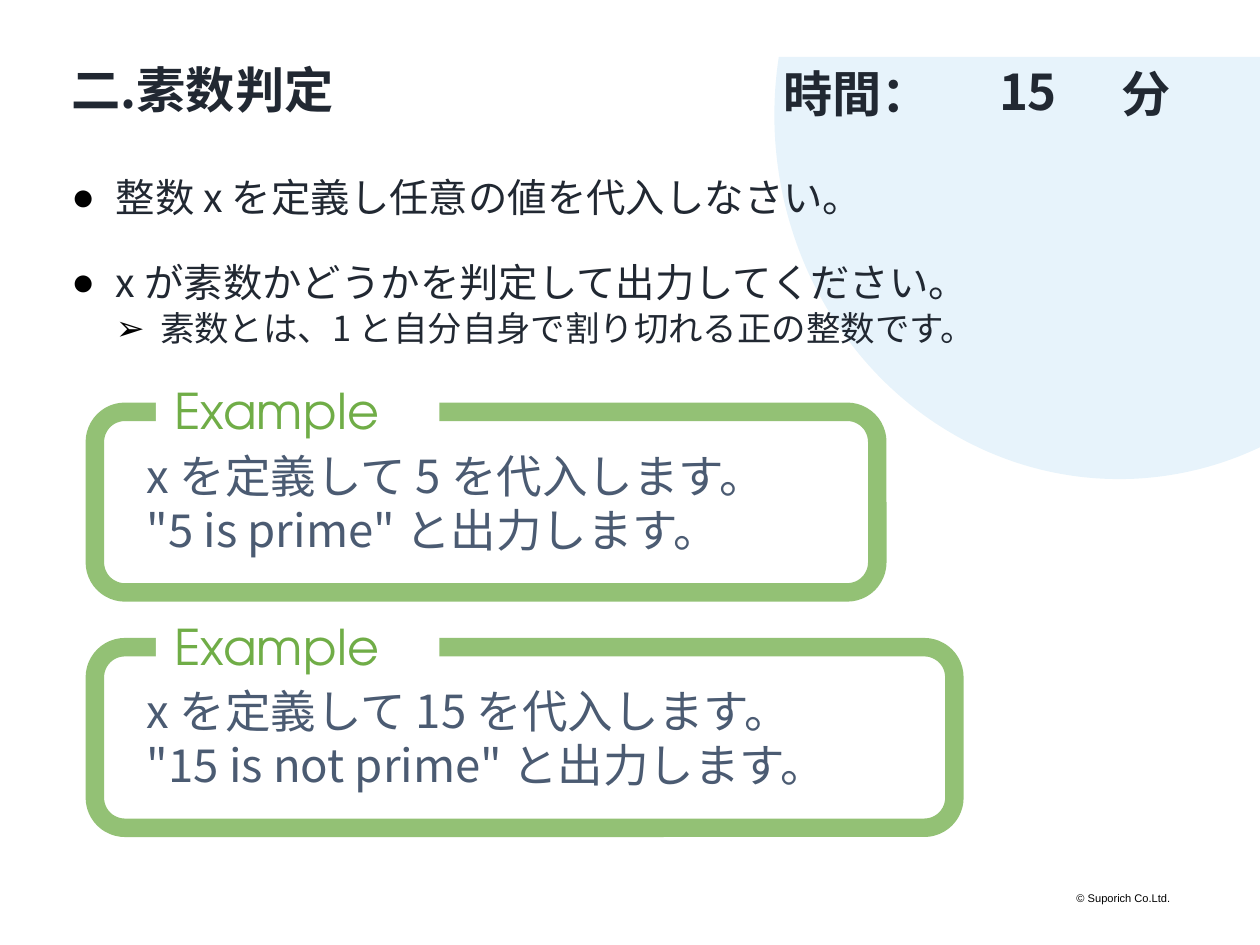
import math

from lxml import etree
from pptx import Presentation
from pptx import util as u
from pptx.dml.color import RGBColor
from pptx.enum import shapes, text
from pptx.oxml import ns

COLORS = {
    "ink": "212832",
    "black": "000000",
    "white": "FFFFFF",
    "sky": "1892DD",
    "green": "70AD47",
    "slate": "4B5B72",
}
JAPANESE = "Noto Sans CJK JP"
LATIN = "TeX Gyre Adventor"
SINGLE = 1.2
TIGHT = 1.08


def rgb(name):
    return RGBColor.from_string(COLORS[name])


def child(parent, tag, **attributes):
    return etree.SubElement(parent, ns.qn(tag), attributes)


def fade(color_owner, percent):
    color = next(color_owner.iter(ns.qn("a:srgbClr")))
    child(color, "a:alpha", val=str(percent * 1000))


def write(paragraph, words, size, color="ink", bold=False, face=JAPANESE, pitch=SINGLE):
    if face == JAPANESE:
        paragraph.line_spacing = u.Pt(round(size * pitch, 1))
    run = paragraph.add_run()
    run.text = words
    run.font.size = u.Pt(size)
    run.font.bold = bold
    run.font.color.rgb = rgb(color)
    run.font.name = face
    child(run.font._element, "a:ea", typeface=face)


def add_bullet(paragraph, mark, left):
    properties = paragraph._p.get_or_add_pPr()
    properties.set("marL", str(u.Cm(left)))
    properties.set("indent", str(u.Cm(-1.27)))
    child(child(properties, "a:buClr"), "a:srgbClr", val=COLORS["black"])
    child(properties, "a:buFont", typeface="Arial")
    child(properties, "a:buChar", char=mark)


def add_frame(slide, left, top, width, height):
    box = slide.shapes.add_textbox(u.Cm(left), u.Cm(top), u.Cm(width), u.Cm(height))
    box.text_frame.word_wrap = True
    return box.text_frame


def add_circle(slide, left, top, right, bottom):
    radius_x, radius_y = 9.88, 10.44
    center_x, center_y = left + radius_x, bottom - radius_y
    start = math.pi + math.asin((center_y - top) / radius_y)
    end = math.acos((right - center_x) / radius_x)
    steps = 120
    angles = [start + (end - start) * step / steps for step in range(steps + 1)]
    arc = [
        (u.Cm(center_x + radius_x * math.cos(angle)), u.Cm(center_y + radius_y * math.sin(angle)))
        for angle in angles
    ]
    outline = slide.shapes.build_freeform(u.Cm(right), u.Cm(top))
    outline.add_line_segments(arc, close=True)
    circle = outline.convert_to_shape()
    circle.shadow.inherit = False
    circle.fill.solid()
    circle.fill.fore_color.rgb = rgb("sky")
    fade(circle._element.spPr, 10)
    circle.line.fill.background()


def add_title(slide, left, top, width, height):
    title = slide.shapes.title
    title.left, title.top, title.width, title.height = map(u.Cm, (left, top, width, height))
    title.text_frame.vertical_anchor = text.MSO_ANCHOR.TOP
    paragraph = title.text_frame.paragraphs[0]
    paragraph.alignment = text.PP_ALIGN.LEFT
    write(paragraph, "二.素数判定", 40, bold=True, pitch=TIGHT)


def add_time(slide, left, top, height):
    label = add_frame(slide, left, top, 6.32, height)
    write(label.paragraphs[0], "時間：", 40, bold=True)
    minutes = add_frame(slide, left + 4.83, top, 4.88, height)
    minutes.vertical_anchor = text.MSO_ANCHOR.MIDDLE
    minutes.paragraphs[0].alignment = text.PP_ALIGN.CENTER
    write(minutes.paragraphs[0], "15", 40, bold=True, pitch=TIGHT)
    unit = add_frame(slide, left + 9.7, top, 4.11, height)
    write(unit.paragraphs[0], "分", 40, bold=True)


def add_task(slide, left, top, width, height):
    steps = [
        ("整数 x を定義し任意の値を代入しなさい。", 0, "●", 32, 0),
        ("x が素数かどうかを判定して出力してください。", 0, "●", 32, 34.5),
        ("素数とは、1 と自分自身で割り切れる正の整数です。", 1, "➢", 28, 5),
    ]
    task = add_frame(slide, left, top, width, height)
    for index, (words, level, mark, size, gap) in enumerate(steps):
        paragraph = task.add_paragraph() if index else task.paragraphs[0]
        paragraph.level = level
        add_bullet(paragraph, mark, 1.27 * (level + 1))
        paragraph.space_before = u.Pt(gap)
        write(paragraph, words, size, pitch=TIGHT)


def add_example(slide, left, top, width, height, sentences):
    border = slide.shapes.add_shape(
        shapes.MSO_SHAPE.ROUNDED_RECTANGLE, u.Cm(left), u.Cm(top), u.Cm(width), u.Cm(height)
    )
    border.shadow.inherit = False
    border.fill.background()
    border.line.color.rgb = rgb("green")
    border.line.width = u.Pt(15)
    fade(border.line._ln, 75)
    frame = border.text_frame
    frame.word_wrap = True
    frame.margin_left = u.Cm(1.24)
    frame.vertical_anchor = text.MSO_ANCHOR.MIDDLE
    for index, sentence in enumerate(sentences):
        paragraph = frame.add_paragraph() if index else frame.paragraphs[0]
        paragraph.alignment = text.PP_ALIGN.LEFT
        write(paragraph, sentence, 37, "slate")

    gap = slide.shapes.add_shape(
        shapes.MSO_SHAPE.RECTANGLE, u.Cm(left + 1.75), u.Cm(top - 0.57), u.Cm(8.13), u.Cm(0.99)
    )
    gap.shadow.inherit = False
    gap.fill.solid()
    gap.fill.fore_color.rgb = rgb("white")
    gap.line.fill.background()

    heading = add_frame(slide, left + 2.03, top - 1.02, 7.54, 1.96)
    write(heading.paragraphs[0], "Example", 40, "green", face=LATIN)


def add_copyright(slide, left, top, width, height):
    notice = add_frame(slide, left, top, width, height)
    write(notice.paragraphs[0], "©️ Suporich Co.Ltd.", 9, "black", face="Arial")


def main():
    deck = Presentation()
    deck.slide_width, deck.slide_height = u.Cm(36.12), u.Cm(27.1)
    slide = deck.slides.add_slide(deck.slide_layouts.get_by_name("Title Only"))
    add_circle(slide, 22.2, 1.63, 36.12, 13.74)
    add_copyright(slide, 30.61, 25.45, 4.04, 0.64)
    add_title(slide, 1.8, 1.75, 20.4, 1.8)
    add_time(slide, 22.2, 1.7, 1.96)
    add_task(slide, 1.8, 4.98, 32, 6.43)
    examples = [
        (22.43, ['x を定義して 5 を代入します。', '"5 is prime" と出力します。']),
        (24.64, ['x を定義して 15 を代入します。', '"15 is not prime" と出力します。']),
    ]
    for row, (width, sentences) in enumerate(examples):
        add_example(slide, 2.72, 11.81 + 6.75 * row, width, 5.18, sentences)
    deck.save("out.pptx")


if __name__ == "__main__":
    main()
